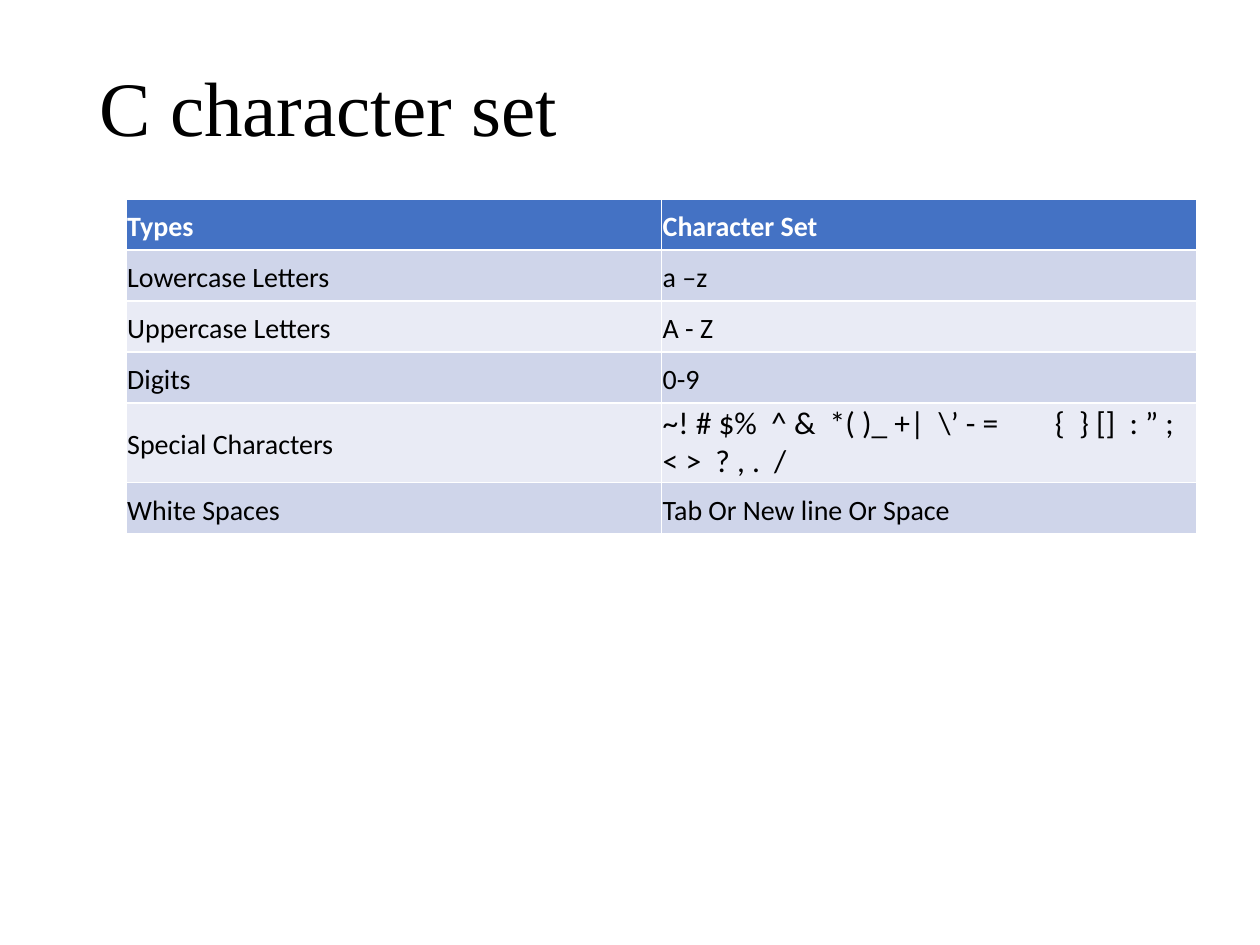
from dataclasses import dataclass

from pptx import Presentation
from pptx.dml.color import RGBColor
from pptx.enum import text
from pptx.util import Inches, Pt


@dataclass(frozen=True)
class Theme:
    title_font: str = "Times New Roman"
    body_font: str = "Calibri"
    title_size: int = 44
    body_size: int = 16
    symbol_size: int = 18
    ink: str = "000000"
    white: str = "FFFFFF"
    header: str = "4472C4"
    bands: tuple = ("CFD5EA", "E9EBF5")


THEME = Theme()
TITLE = "C character set"
SYMBOLS = "~! # $%  ^ &  *( )_ +|  \\’ - =\t  {  } []  : ” ; < >  ? , .  /"
ROWS = [
    ("Types", "Character Set"),
    ("Lowercase Letters", "a –z"),
    ("Uppercase Letters", "A - Z"),
    ("Digits", "0-9"),
    ("Special Characters", SYMBOLS),
    ("White Spaces", "Tab Or New line Or Space"),
]
COLUMN_WIDTH = 4.25
ROW_HEIGHT = 0.405
SYMBOL_ROW_HEIGHT = 0.63
CELL_MARGIN = 0.01


def add_run(para, words, font, size, color, bold=False):
    span = para.add_run()
    span.text = words
    span.font.name = font
    span.font.size = Pt(size)
    span.font.bold = bold
    span.font.color.rgb = RGBColor.from_string(color)


def add_title(page):
    title = page.shapes.title
    title.left, title.top = Inches(0.69), Inches(0.16)
    title.width, title.height = Inches(8.62), Inches(1.45)
    title.text_frame.vertical_anchor = text.MSO_ANCHOR.MIDDLE
    para = title.text_frame.paragraphs[0]
    para.alignment = text.PP_ALIGN.LEFT
    para.line_spacing = 0.9
    add_run(para, TITLE, THEME.title_font, THEME.title_size, THEME.ink)


def fill_cell(cell, words, fill, color, bold):
    cell.fill.solid()
    cell.fill.fore_color.rgb = RGBColor.from_string(fill)
    cell.vertical_anchor = text.MSO_ANCHOR.MIDDLE
    cell.margin_left = cell.margin_right = Inches(CELL_MARGIN)
    cell.margin_top = cell.margin_bottom = Inches(CELL_MARGIN)
    para = cell.text_frame.paragraphs[0]
    size = THEME.symbol_size
    if words != SYMBOLS:
        size = THEME.body_size
        para.line_spacing = 1.15
        para.space_after = Pt(10)
    add_run(para, words, THEME.body_font, size, color, bold)


def add_character_table(page):
    heights = [SYMBOL_ROW_HEIGHT if SYMBOLS in row else ROW_HEIGHT for row in ROWS]
    columns = len(ROWS[0])
    table = page.shapes.add_table(
        len(ROWS), columns, Inches(1), Inches(1.58),
        Inches(columns * COLUMN_WIDTH), Inches(sum(heights)),
    ).table
    for column in table.columns:
        column.width = Inches(COLUMN_WIDTH)
    for index, (row, height) in enumerate(zip(ROWS, heights)):
        table.rows[index].height = Inches(height)
        is_header = index == 0
        fill = THEME.header if is_header else THEME.bands[(index - 1) % 2]
        color = THEME.white if is_header else THEME.ink
        for cell, words in zip(table.rows[index].cells, row):
            fill_cell(cell, words, fill, color, is_header)


def main():
    deck = Presentation()
    deck.slide_width, deck.slide_height = Inches(10), Inches(7.5)
    page = deck.slides.add_slide(deck.slide_layouts.get_by_name("Title Only"))
    add_title(page)
    add_character_table(page)
    deck.save("out.pptx")


if __name__ == "__main__":
    main()
